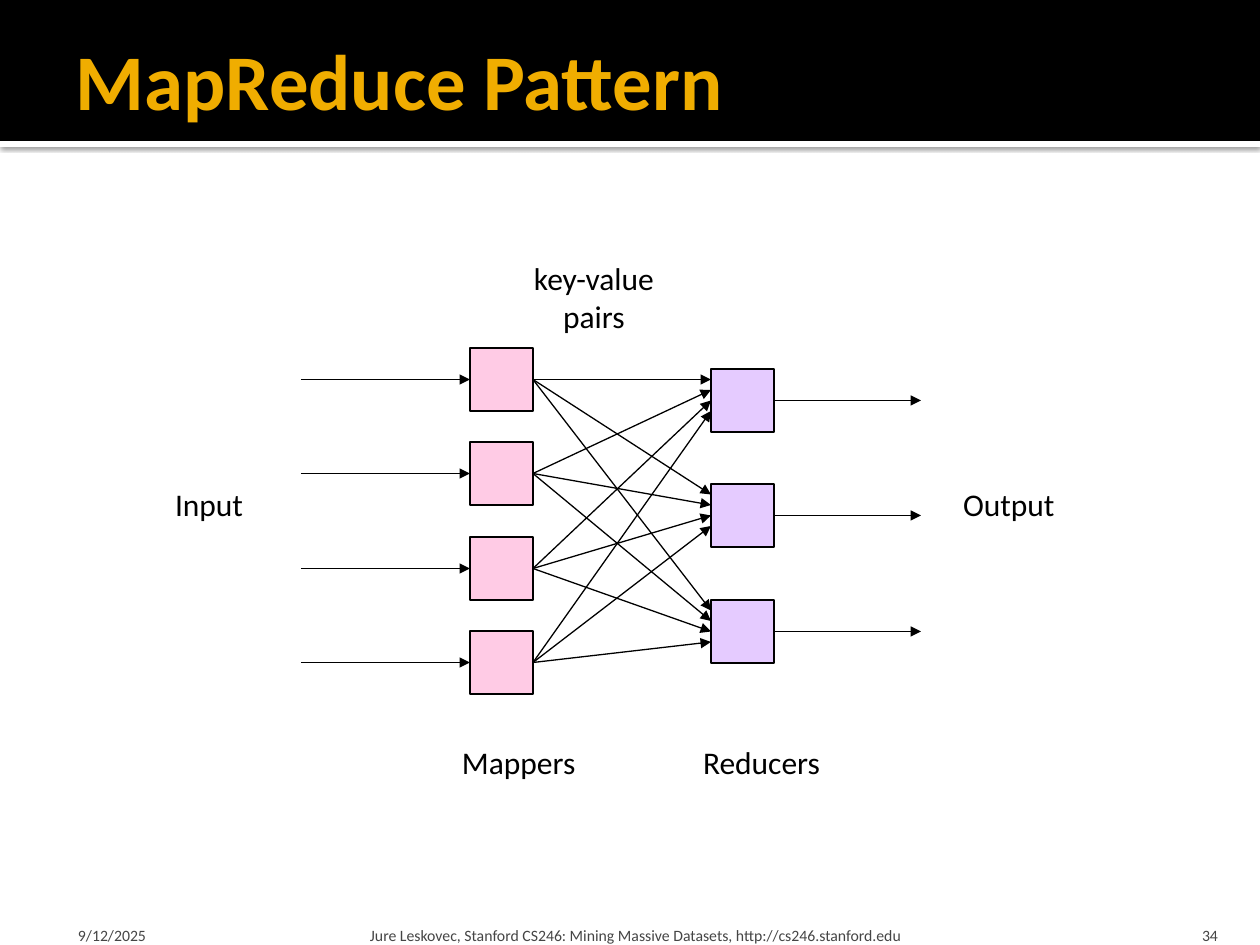
from lxml import etree
from pptx import Presentation
from pptx.dml.color import RGBColor
from pptx.enum.shapes import MSO_CONNECTOR, MSO_SHAPE
from pptx.enum.text import MSO_ANCHOR, PP_ALIGN
from pptx.oxml.ns import qn
from pptx.util import Emu, Pt

SCALE = 914400 / 126
RECT = MSO_SHAPE.RECTANGLE
LINE = MSO_CONNECTOR.STRAIGHT
LEFT, MID, RIGHT = PP_ALIGN.LEFT, PP_ALIGN.CENTER, PP_ALIGN.RIGHT
TOP, CENTER, BASE = MSO_ANCHOR.TOP, MSO_ANCHOR.MIDDLE, MSO_ANCHOR.BOTTOM
SIDE_L, SIDE_R = 1, 3
SIZE = 63
HEX = {
    "black": "000000",
    "white": "FFFFFF",
    "gold": "F0AD00",
    "grey": "454545",
    "pink": "FF99CC",
    "violet": "CC99FF",
}


def px(n):
    """Turn px into EMU."""
    return Emu(round(n * SCALE))


def rgb(name):
    """Look up a named colour."""
    return RGBColor.from_string(HEX[name])


def add_text(slide, text, box, size=18, color="black", bold=False, align=LEFT,
             anchor=TOP, wrap=False, inset=(13, 6, 13, 6)):
    """Place text in a box, one paragraph per line."""
    frame = slide.shapes.add_textbox(*map(px, box)).text_frame
    frame.word_wrap = wrap
    frame.vertical_anchor = anchor
    (frame.margin_left, frame.margin_top,
     frame.margin_right, frame.margin_bottom) = map(px, inset)
    frame.text = text
    for para in frame.paragraphs:
        para.alignment = align
        font = para.font
        font.name, font.size, font.bold = "Calibri", Pt(size), bold
        font.color.rgb = rgb(color)


def add_rect(slide, box, color):
    """Draw a plain filled rectangle."""
    rect = slide.shapes.add_shape(RECT, *map(px, box))
    rect.shadow.inherit = False
    rect.fill.solid()
    rect.fill.fore_color.rgb = rgb(color)
    rect.line.fill.background()
    return rect


def add_node(slide, left, top, color):
    """Draw a half-clear outlined square."""
    node = add_rect(slide, (left, top, SIZE, SIZE), color)
    node.line.color.rgb = rgb("black")
    node.line.width = Pt(0.75)
    tint = node.fill._xPr.find(qn("a:solidFill"))[0]
    etree.SubElement(tint, qn("a:alpha"), val="50000")
    return node


def add_arrow(slide, start, end, source=None, target=None):
    """Draw an arrow, joined to any nodes given."""
    arrow = slide.shapes.add_connector(LINE, *map(px, (*start, *end)))
    if source is not None:
        arrow.begin_connect(source, SIDE_R)
    if target is not None:
        arrow.end_connect(target, SIDE_L)
    arrow.line.color.rgb = rgb("black")
    arrow.line.width = Pt(0.75)
    edge = arrow.line._get_or_add_ln()
    etree.SubElement(edge, qn("a:tailEnd"), type="triangle")
    etree.SubElement(arrow._element.spPr, qn("a:effectLst"))


def add_head(slide, box):
    """Draw the title band with its shaded strip."""
    left, top, width, height = box
    strip = add_rect(slide, (left, top + height, width, 6), "white")
    glow = etree.SubElement(
        strip._element.spPr.find(qn("a:effectLst")), qn("a:outerShdw"),
        blurRad=str(Pt(2.5)), dist=str(Pt(0.8)), dir="5400000",
        algn="tl", rotWithShape="0")
    shade = etree.SubElement(glow, qn("a:srgbClr"), val=HEX["black"])
    etree.SubElement(shade, qn("a:alpha"), val="60000")
    add_rect(slide, box, "black")
    add_text(slide, "MapReduce Pattern", (left + 63, top + 21, 1134, 116),
             size=45, color="gold", bold=True, anchor=CENTER, wrap=True,
             inset=(13, 6, 6, 6))


def add_flow(slide, box):
    """Draw the mappers, reducers, arrows and labels."""
    left, top, width, _ = box
    map_x, red_x = left + 308, left + 549
    map_y = [top + 95 + 189 * i // 2 for i in range(4)]
    red_y = [top + 116 + 231 * j // 2 for j in range(3)]
    maps = [add_node(slide, map_x, y, "pink") for y in map_y]
    reds = [add_node(slide, red_x, y, "violet") for y in red_y]
    half = SIZE / 2
    for i, (node, y) in enumerate(zip(maps, map_y)):
        add_arrow(slide, (left + 139, y + half), (map_x, y + half), target=node)
        for goal, goal_y in zip(reds, red_y):
            port = SIZE * (i + 1) / 6
            add_arrow(slide, (map_x + SIZE, y + half), (red_x, goal_y + port),
                      source=node, target=goal if port == half else None)
    for node, y in zip(reds, red_y):
        add_arrow(slide, (red_x + SIZE, y + half), (left + 759, y + half),
                  source=node)
    for text, x, y, wide in (
        ("Mappers", 287, 484, 140),
        ("Reducers", 528, 484, 146),
        ("Input", 0, 226, 95),
        ("Output", width - 121, 226, 121),
    ):
        add_text(slide, text, (left + x, top + y, wide, 50))
    add_text(slide, "key-value\npairs", (left + 356, top, 152, 89), align=MID)


def add_foot(slide, box):
    """Write the date, source line and slide number."""
    left, top, _, height = box
    for text, x, wide, align, inset in (
        ("9/12/2025", 0, 294, LEFT, (15, 6, 6, 0)),
        ("Jure Leskovec, Stanford CS246: Mining Massive Datasets, "
         "http://cs246.stanford.edu", 301, 759, LEFT, (6, 6, 6, 0)),
        ("34", 1067, 101, RIGHT, (13, 6, 13, 0)),
    ):
        add_text(slide, text, (left + x, top, wide, height), size=9,
                 color="grey", align=align, anchor=BASE, wrap=True, inset=inset)


def main():
    """Build and save the slide."""
    deck = Presentation()
    deck.slide_width, deck.slide_height = px(1260), px(945)
    slide = deck.slides.add_slide(deck.slide_layouts[6])
    add_head(slide, (0, 0, 1260, 141))
    add_flow(slide, (162, 253, 909, 534))
    add_foot(slide, (63, 907, 1168, 38))
    deck.save("out.pptx")


if __name__ == "__main__":
    main()
